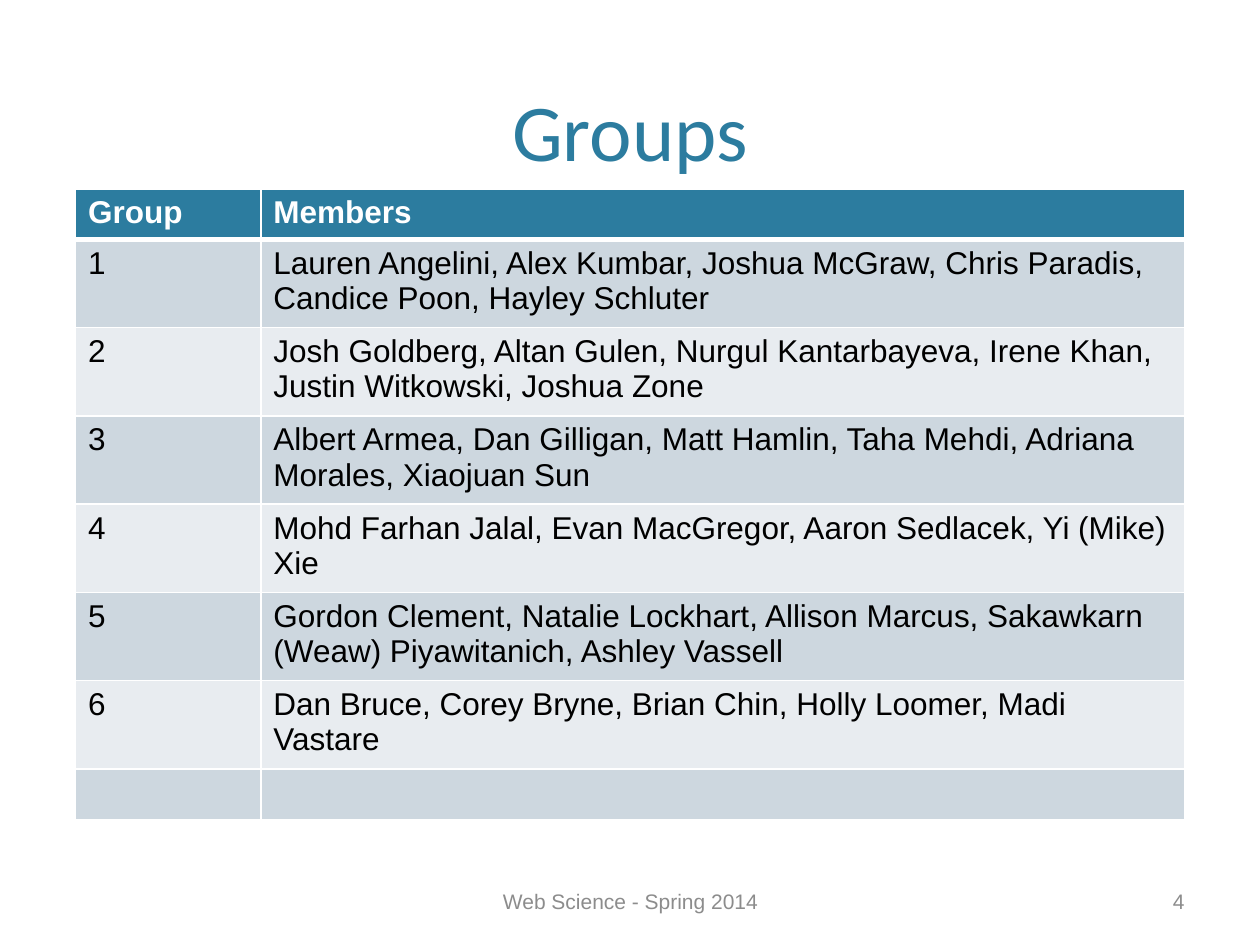
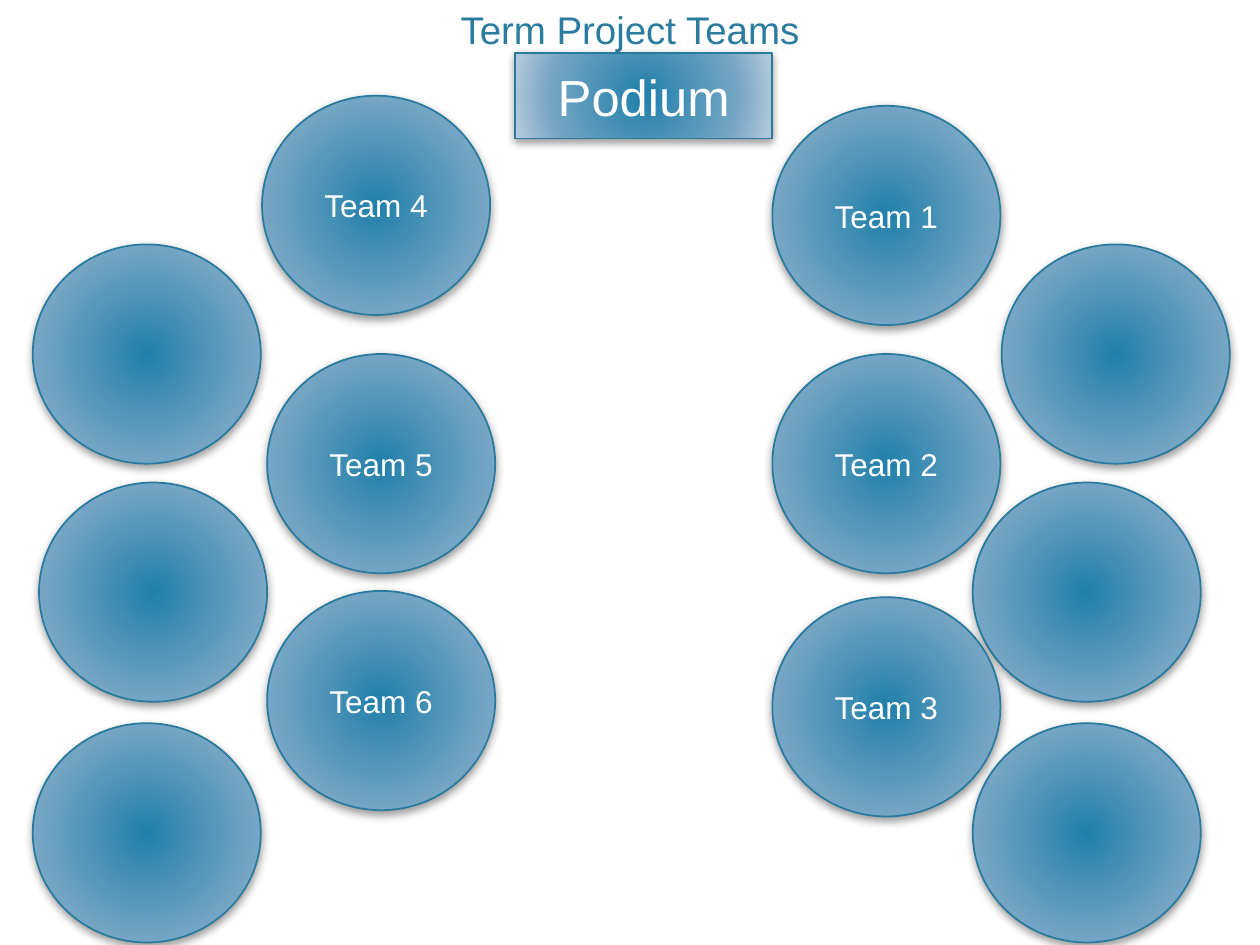
from lxml import etree
from pptx import Presentation
from pptx.dml.color import RGBColor
from pptx.enum import shapes, text
from pptx.oxml import ns
from pptx.util import Inches, Pt

# Shared look
TEAL = RGBColor(0x2C, 0x7C, 0x9F)
EDGE = RGBColor(0x28, 0x7A, 0x9E)
WHITE = RGBColor(0xFF, 0xFF, 0xFF)
BLACK = RGBColor(0, 0, 0)
GRAY = RGBColor(0x8C, 0x8C, 0x8C)
BANDS = (RGBColor(0xCD, 0xD7, 0xDF), RGBColor(0xE8, 0xEC, 0xF0))
GLOW = ((0, RGBColor(0x21, 0x80, 0xAA)), (69, RGBColor(0x75, 0xA5, 0xC5)),
        (100, RGBColor(0xB8, 0xCC, 0xDC)))
LEFT, MID, RIGHT = text.PP_ALIGN.LEFT, text.PP_ALIGN.CENTER, text.PP_ALIGN.RIGHT
MIDDLE, BOTTOM = text.MSO_ANCHOR.MIDDLE, text.MSO_ANCHOR.BOTTOM
RECT, OVAL = shapes.MSO_SHAPE.RECTANGLE, shapes.MSO_SHAPE.OVAL

# Content
GROUPS = (
    ("Group", "Members"),
    ("1", "Lauren Angelini, Alex Kumbar, Joshua McGraw, Chris Paradis, "
          "Candice Poon, Hayley Schluter"),
    ("2", "Josh Goldberg, Altan Gulen, Nurgul Kantarbayeva, Irene Khan, "
          "Justin Witkowski, Joshua Zone"),
    ("3", "Albert Armea, Dan Gilligan, Matt Hamlin, Taha Mehdi, "
          "Adriana Morales, Xiaojuan Sun"),
    ("4", "Mohd Farhan Jalal, Evan MacGregor, Aaron Sedlacek, Yi (Mike) Xie"),
    ("5", "Gordon Clement, Natalie Lockhart, Allison Marcus, "
          "Sakawkarn (Weaw) Piyawitanich, Ashley Vassell"),
    ("6", "Dan Bruce, Corey Bryne, Brian Chin, Holly Loomer, Madi Vastare"),
    ("", ""),
)
SEAT = (1.81, 1.74)
SEATS = (
    (2.08, 0.76, "Team 4"), (2.12, 2.81, "Team 5"),
    (7.72, 5.74, ""), (7.95, 1.94, ""), (7.72, 3.83, ""),
    (6.13, 4.74, "Team 3"), (6.13, 2.81, "Team 2"), (6.13, 0.84, "Team 1"),
    (2.12, 4.69, "Team 6"),
    (0.31, 3.83, ""), (0.26, 1.94, ""), (0.26, 5.74, ""),
)


def node(parent, tag, **attrs):
    return etree.SubElement(parent, ns.qn("a:" + tag),
                            {key: str(val) for key, val in attrs.items()})


def write(frame, words, size, color, align=LEFT, font="Arial", bold=False):
    para = frame.paragraphs[0]
    para.alignment = align
    run = para.add_run()
    run.text = words
    look = {"size": Pt(size), "name": font, "bold": bold}
    for key, val in look.items():
        setattr(run.font, key, val)
    run.font.color.rgb = color


def add_text(slide, box, words, size, color, align=MID, anchor=MIDDLE, font="Arial"):
    frame = slide.shapes.add_textbox(*map(Inches, box)).text_frame
    frame.word_wrap = True
    frame.vertical_anchor = anchor
    write(frame, words, size, color, align, font)


def add_title(slide, box, words, size, font="Arial"):
    add_text(slide, box, words, size, TEAL, anchor=BOTTOM, font=font)


def add_footer(slide, number):
    add_text(slide, (3.42, 6.95, 3.17, 0.4), "Web Science - Spring 2014", 12, GRAY)
    add_text(slide, (7.17, 6.95, 2.33, 0.4), number, 12, GRAY, RIGHT)


def set_edges(cell, below):
    # Borders come before the fill in the cell properties
    props = cell._tc.get_or_add_tcPr()
    for spot, (side, width) in enumerate((("L", 1), ("R", 1), ("T", 1), ("B", below))):
        line = node(props, "ln" + side, w=Pt(width))
        node(node(line, "solidFill"), "srgbClr", val=WHITE)
        props.insert(spot, line)


def add_table(slide, rows):
    grid = slide.shapes.add_table(len(rows), 2, Inches(0.6), Inches(1.5),
                                  Inches(8.8), Inches(0.4 * len(rows))).table
    for col, width in zip(grid.columns, (1.47, 7.33)):
        col.width = Inches(width)
    for r, row in enumerate(rows):
        head = r == 0
        for c, words in enumerate(row):
            cell = grid.cell(r, c)
            cell.fill.solid()
            cell.fill.fore_color.rgb = TEAL if head else BANDS[(r - 1) % 2]
            # The rule under the header is shared with the row below it
            set_edges(cell, 3 if head else 1)
            if words:
                write(cell.text_frame, words, 18, WHITE if head else BLACK, bold=head)


def add_glow(shape):
    # Radial fill sits right after the geometry
    props = shape._element.spPr
    fill = node(props, "gradFill", rotWithShape=1)
    stops = node(fill, "gsLst")
    for pos, color in GLOW:
        node(node(stops, "gs", pos=pos * 1000), "srgbClr", val=color)
    ring = node(fill, "path", path="circle")
    node(ring, "fillToRect", **dict.fromkeys("ltrb", 100000))
    props.insert(2, fill)
    # Soft shadow straight below
    shape.shadow.inherit = False
    shade = node(props.find(ns.qn("a:effectLst")), "outerShdw", blurRad=Pt(5),
                 dist=Pt(2), dir=90 * 60000, rotWithShape=0)
    node(node(shade, "srgbClr", val=BLACK), "alpha", val=40000)


def add_seat(slide, kind, box, words, size=18):
    shape = slide.shapes.add_shape(kind, *map(Inches, box))
    shape.line.color.rgb = EDGE
    shape.line.width = Pt(1)
    add_glow(shape)
    if words:
        frame = shape.text_frame
        frame.vertical_anchor = MIDDLE
        write(frame, words, size, WHITE, MID)


def main():
    deck = Presentation()
    deck.slide_width, deck.slide_height = Inches(10), Inches(7.5)
    blank = deck.slide_layouts[6]

    # Group list
    slide = deck.slides.add_slide(blank)
    add_title(slide, (0.6, 0, 8.8, 1.46), "Groups", 46, "Calibri")
    add_footer(slide, "4")
    add_table(slide, GROUPS)

    # Seating plan
    slide = deck.slides.add_slide(blank)
    add_title(slide, (0.5, -0.79, 9, 1.25), "Term Project Teams", 22)
    add_seat(slide, RECT, (4.09, 0.42, 2.04, 0.68), "Podium", 29)
    for left, top, words in SEATS:
        add_seat(slide, OVAL, (left, top, *SEAT), words)

    deck.save("out.pptx")


main()
